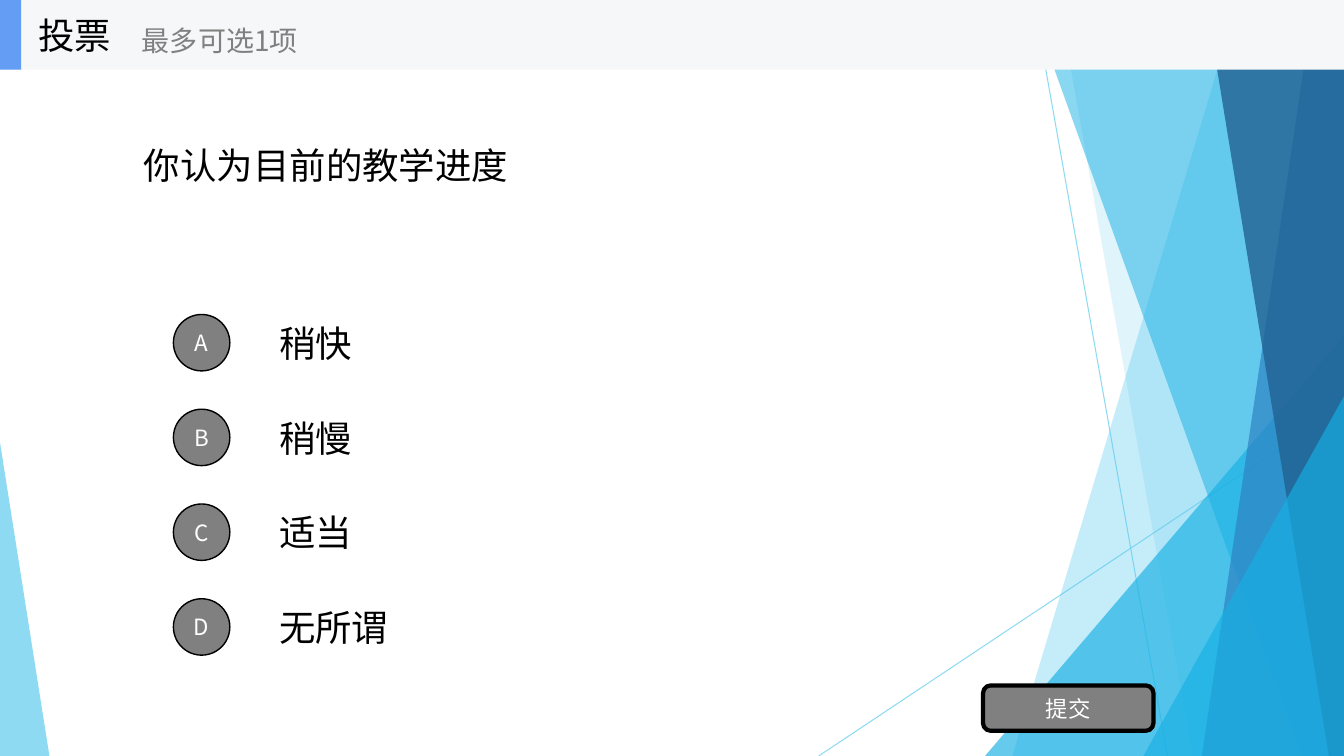
"""Build a voting slide with four options, a submit button and a faceted backdrop."""
from dataclasses import dataclass

from lxml.etree import SubElement
from pptx import Presentation
from pptx.dml.color import RGBColor
from pptx.enum.shapes import MSO_CONNECTOR, MSO_SHAPE
from pptx.enum.text import MSO_ANCHOR, PP_ALIGN
from pptx.oxml.ns import qn
from pptx.util import Inches, Pt


@dataclass(frozen=True)
class Theme:
    font: str = "Noto Sans CJK SC"
    black: str = "000000"
    white: str = "FFFFFF"
    gray: str = "808080"
    band: str = "F6F7F8"
    accent: str = "639EF4"
    sky: str = "5FCBEF"
    cyan: str = "17B0E4"
    blue: str = "2E83C3"
    navy: str = "226292"
    heading: int = 26
    hint: int = 20
    label: int = 16


def paint(shape, fill, opacity=100, outline=0):
    shape.shadow.inherit = False
    shape.fill.solid()
    shape.fill.fore_color.rgb = RGBColor.from_string(fill)
    if opacity < 100:
        color = shape.element.spPr.find(".//" + qn("a:srgbClr"))
        SubElement(color, qn("a:alpha"), val=str(opacity * 1000))
    if outline:
        shape.line.color.rgb = RGBColor.from_string(theme.black)
        shape.line.width = Pt(outline)
    else:
        shape.line.fill.background()
    return shape


def write(shape, text, size, color, align=PP_ALIGN.LEFT):
    frame = shape.text_frame
    frame.word_wrap = True
    frame.vertical_anchor = MSO_ANCHOR.MIDDLE
    paragraph = frame.paragraphs[0]
    paragraph.alignment = align
    run = paragraph.add_run()
    run.text = text
    run.font.size = Pt(size)
    run.font.name = theme.font
    run.font.color.rgb = RGBColor.from_string(color)
    SubElement(run.font._element, qn("a:ea"), typeface=theme.font)


theme = Theme()
deck = Presentation()
deck.slide_width, deck.slide_height = Inches(13.33), Inches(7.5)
slide = deck.slides.add_slide(deck.slide_layouts[6])
shapes = slide.shapes

for ends in [(10.25, 0, 11.58, 7.5), (13.33, 4.03, 8.12, 7.5)]:
    ray = shapes.add_connector(MSO_CONNECTOR.STRAIGHT, *map(Inches, ends))
    ray.line.color.rgb = RGBColor.from_string(theme.sky)
    ray.line.width = Pt(0.75)
    color = ray.element.spPr.find(".//" + qn("a:srgbClr"))
    SubElement(color, qn("a:alpha"), val="70000")
    SubElement(ray.element.spPr, qn("a:effectLst"))

right, bottom = 13.33, 7.5
facets = [
    ("band", 12.28, 10.04, theme.sky, 36),
    ("band", 10.5, 11.83, theme.sky, 20),
    ("peak", 9.77, 3.33, theme.cyan, 66),
    ("band", 10.21, 12.91, theme.cyan, 50),
    ("band", 13.03, 11.92, theme.blue, 70),
    ("band", 11.96, 13.18, theme.navy, 80),
    ("peak", 11.34, 3.93, theme.cyan, 66),
]
for kind, first, second, color, opacity in facets:
    if kind == "band":
        outline = shapes.build_freeform(Inches(first), 0)
        corners = [(right, 0), (right, bottom), (second, bottom)]
        outline.add_line_segments([(Inches(x), Inches(y)) for x, y in corners])
        facet = outline.convert_to_shape()
    else:
        facet = shapes.add_shape(MSO_SHAPE.ISOSCELES_TRIANGLE, Inches(first), Inches(second),
                                 Inches(right - first), Inches(bottom - second))
        facet.adjustments[0] = 1
    paint(facet, color, opacity)

left_facet = shapes.add_shape(MSO_SHAPE.ISOSCELES_TRIANGLE, 0, Inches(4.39),
                              Inches(0.49), Inches(3.11))
left_facet.adjustments[0] = 0
paint(left_facet, theme.sky, 70)

question = shapes.add_textbox(Inches(1.33), Inches(0.47), Inches(10.67), Inches(2.34))
write(question, "你认为目前的教学进度", theme.heading, theme.black)

for row, (letter, answer) in enumerate(zip("ABCD", ["稍快", "稍慢", "适当", "无所谓"])):
    top = 3.05 + 0.94 * row
    option = shapes.add_textbox(Inches(2.67), Inches(top), Inches(9.33), Inches(0.7))
    write(option, answer, theme.heading, theme.black)
    badge = shapes.add_shape(MSO_SHAPE.OVAL, Inches(1.72), Inches(top + 0.07),
                             Inches(0.56), Inches(0.56))
    write(paint(badge, theme.gray, outline=1), letter, theme.label, theme.white, PP_ALIGN.CENTER)

submit = shapes.add_shape(MSO_SHAPE.ROUNDED_RECTANGLE, Inches(9.75), Inches(6.8),
                          Inches(1.69), Inches(0.45))
write(paint(submit, theme.gray, outline=3), "提交", theme.label, theme.white, PP_ALIGN.CENTER)

for width, color in [(right, theme.band), (0.21, theme.accent)]:
    paint(shapes.add_shape(MSO_SHAPE.RECTANGLE, 0, 0, Inches(width), Inches(0.69)), color)

title = shapes.add_textbox(Inches(0.28), 0, Inches(2.08), Inches(0.69))
write(title, "投票", theme.heading, theme.black)
limit = shapes.add_textbox(Inches(1.31), Inches(0.12), Inches(2.5), Inches(0.56))
write(limit, "最多可选1项", theme.hint, theme.gray)

deck.save("out.pptx")
